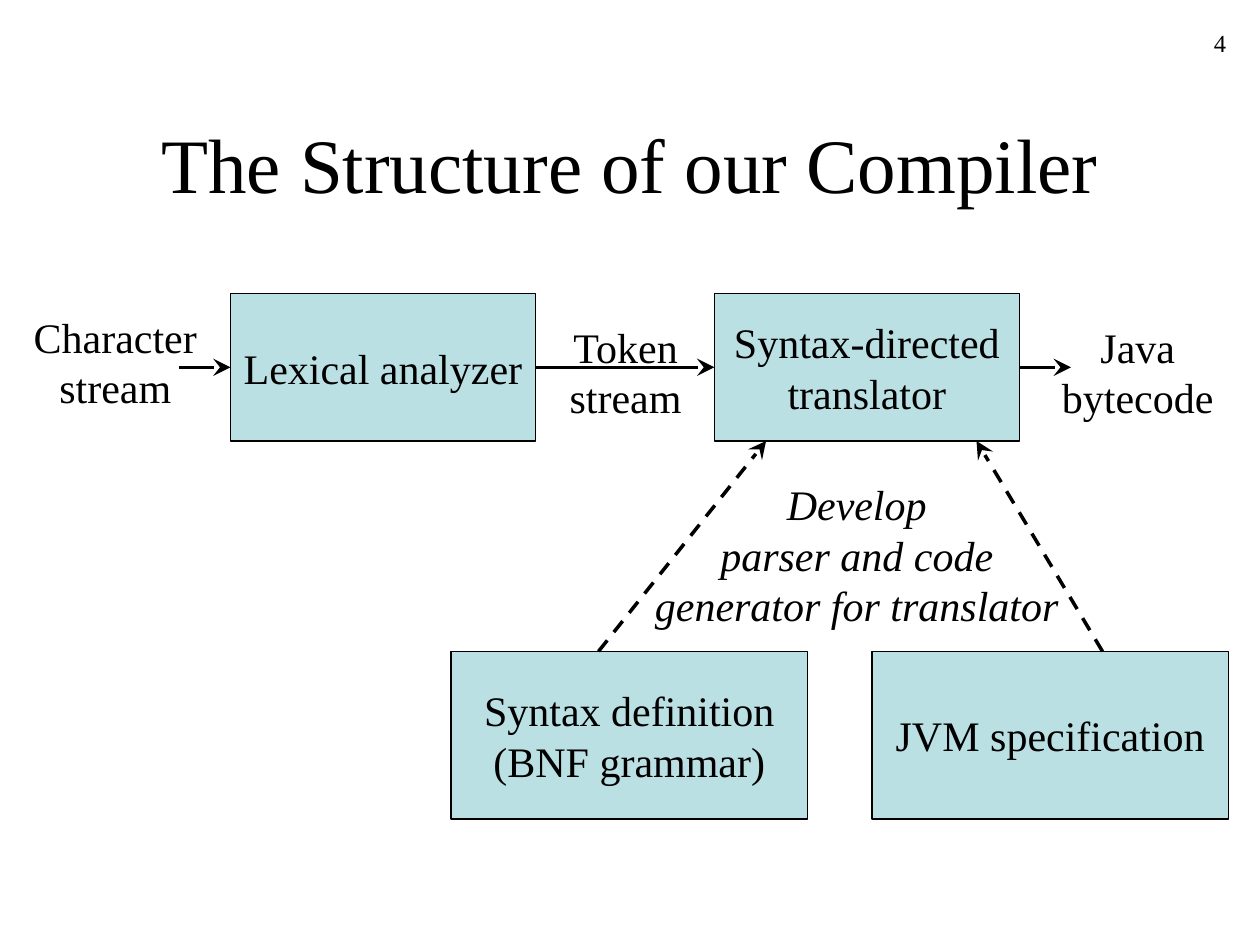
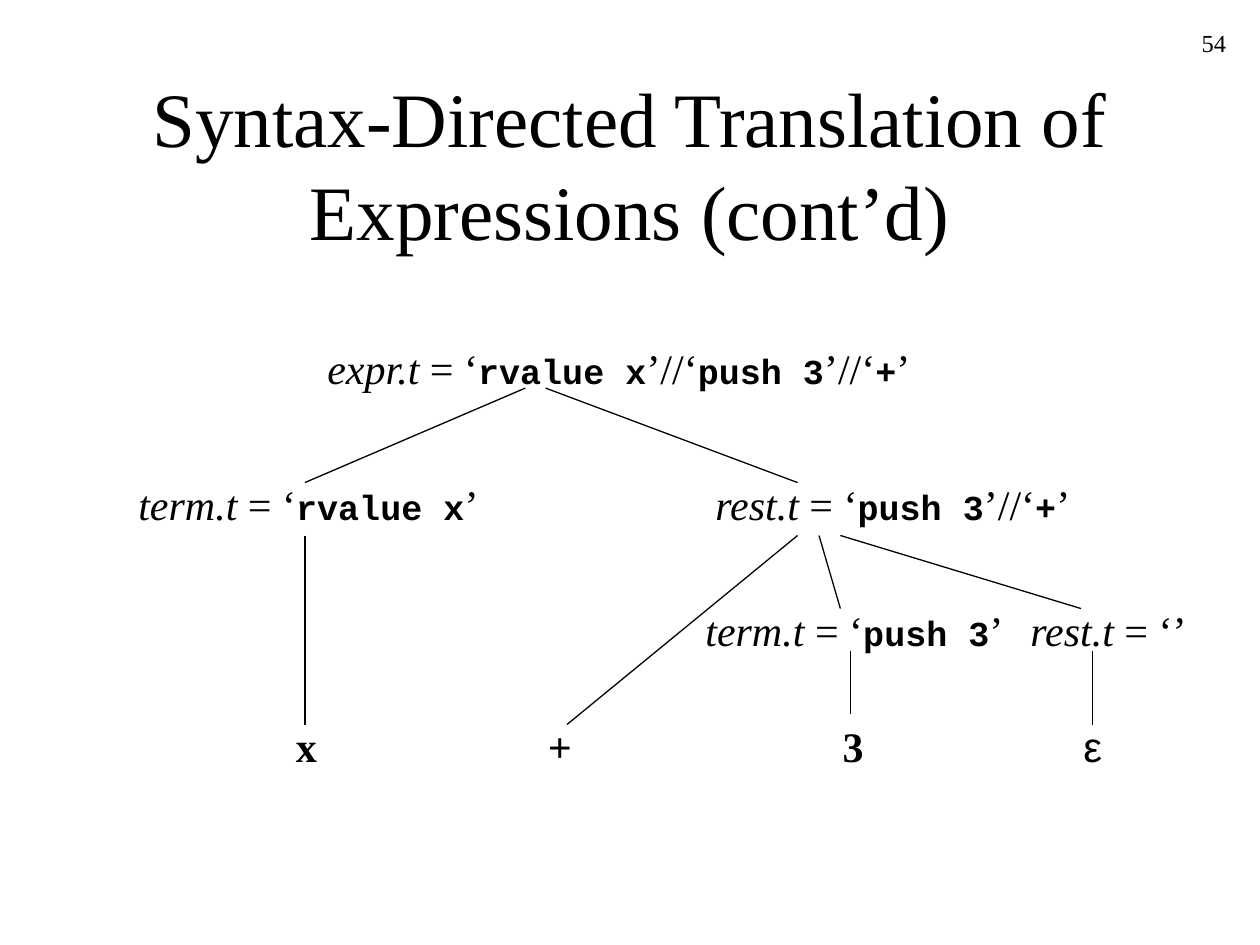
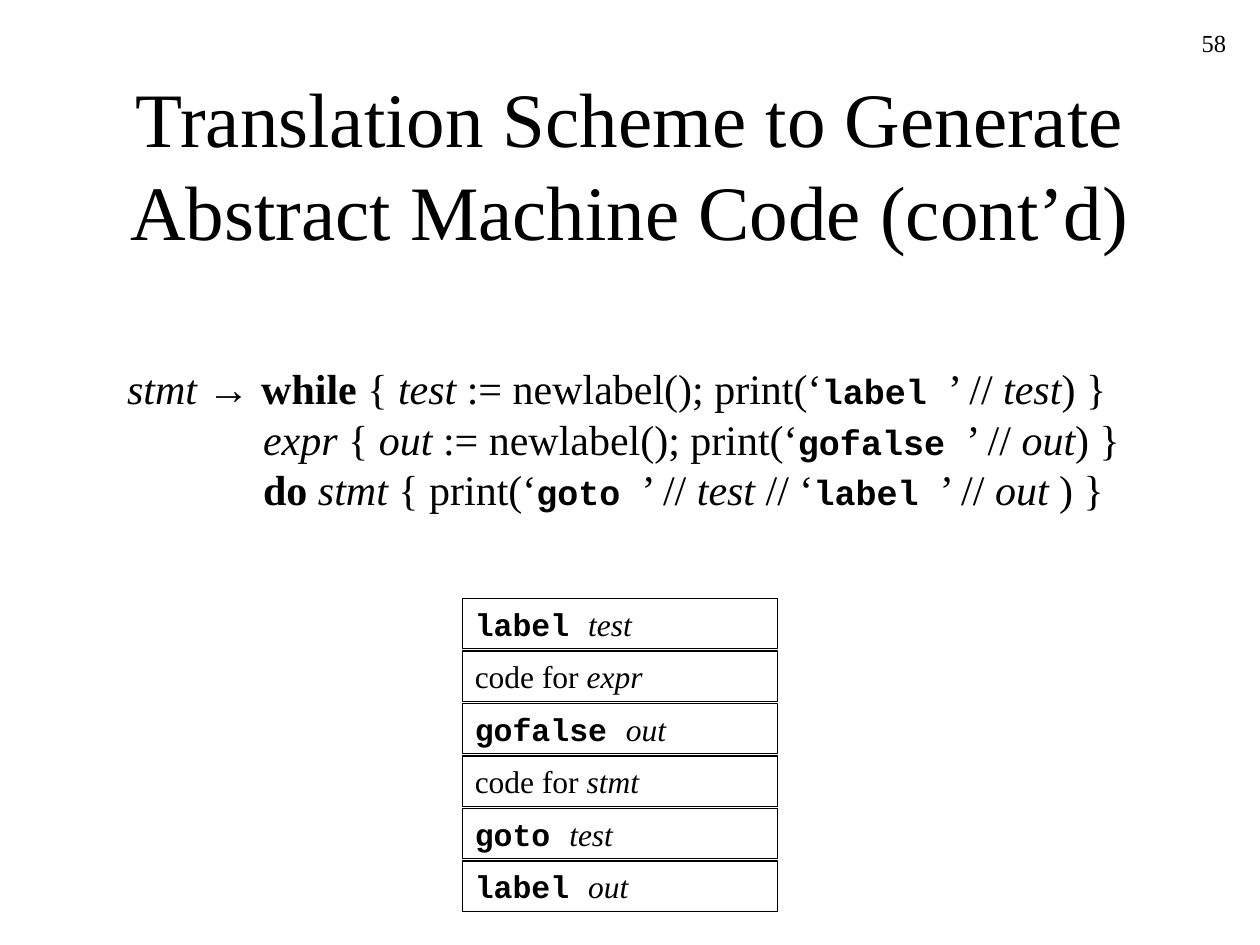
from lxml import etree
from pptx import Presentation
from pptx.dml.color import RGBColor
from pptx.enum import dml, shapes, text
from pptx.oxml import ns
from pptx.util import Inches, Pt

BLACK = RGBColor(0x00, 0x00, 0x00)
PALE_BLUE = RGBColor(0xBB, 0xE0, 0xE3)
SERIF, MONO, SANS = "Times New Roman", "Courier New", "Arial"
LEFT, CENTER, RIGHT = text.PP_ALIGN.LEFT, text.PP_ALIGN.CENTER, text.PP_ALIGN.RIGHT
GROW, FIXED = text.MSO_AUTO_SIZE.SHAPE_TO_FIT_TEXT, text.MSO_AUTO_SIZE.NONE
STYLES = {
    "plain": dict(name=SERIF, bold=False, italic=False),
    "bold": dict(name=SERIF, bold=True, italic=False),
    "italic": dict(name=SERIF, bold=False, italic=True),
    "code": dict(name=MONO, bold=True, italic=False),
    "symbol": dict(name=SANS, bold=False, italic=False),
}


def write(sp, runs, size=24, code_size=20, align=LEFT, wrap=False, auto=GROW,
          anchor=text.MSO_ANCHOR.TOP):
    """Fill a shape with (text, style) runs; a newline becomes a line break."""
    tf = sp.text_frame
    frame = dict(word_wrap=wrap, auto_size=auto, vertical_anchor=anchor)
    for key, value in frame.items():
        setattr(tf, key, value)
    p = tf.paragraphs[0]
    p.alignment = align
    for words, style in runs:
        for i, part in enumerate(words.split("\n")):
            if i:
                p.add_line_break()
            if part:
                r = p.add_run()
                r.text = part
                r.font.size = Pt(code_size if style == "code" else size)
                r.font.color.rgb = BLACK
                for key, value in STYLES[style].items():
                    setattr(r.font, key, value)
    return p


def add_line(s, start, end, width=0.75, arrow=False, dashed=False):
    x1, y1, x2, y2 = (Inches(v) for v in start + end)
    line = s.shapes.add_connector(shapes.MSO_CONNECTOR.STRAIGHT, x1, y1, x2, y2)
    line.line.color.rgb = BLACK
    line.line.width = Pt(width)
    if dashed:
        line.line.dash_style = dml.MSO_LINE.DASH
    if arrow:
        etree.SubElement(line.line._get_or_add_ln(), ns.qn("a:tailEnd"),
                         type="stealth", w="lg", len="lg")
    etree.SubElement(line._element.spPr, ns.qn("a:effectLst"))
    return line


prs = Presentation()
prs.slide_width, prs.slide_height = Inches(10), Inches(7.5)

# Titles and page numbers
slides = []
for title, number in [
    ("The Structure of our Compiler", "4"),
    ("Syntax-Directed Translation of Expressions (cont’d)", "54"),
    ("Translation Scheme to Generate Abstract Machine Code (cont’d)", "58"),
]:
    s = prs.slides.add_slide(prs.slide_layouts[5])
    sp = s.shapes.title
    sp.left, sp.top, sp.width, sp.height = (Inches(v) for v in (0.75, 0.67, 8.5, 1.25))
    write(sp, [(title, "plain")], 44, align=CENTER, wrap=True, auto=FIXED,
          anchor=text.MSO_ANCHOR.MIDDLE)
    sp = s.shapes.add_textbox(Inches(7.75), Inches(0.17), Inches(2.08), Inches(0.5))
    write(sp, [(number, "plain")], 14, align=RIGHT, wrap=True, auto=FIXED)
    slides.append(s)
structure, tree, scheme = slides

# Compiler structure: boxes
top, height = 2.33, 1.17
boxes = {}
for label, x, y, w, h in [
    ("Lexical analyzer", 1.83, top, 2.42, height),
    ("Syntax-directed\ntranslator", 5.67, top, 2.42, height),
    ("Syntax definition\n(BNF grammar)", 3.58, 5.17, 2.83, 1.33),
    ("JVM specification", 6.92, 5.17, 2.83, 1.33),
]:
    sp = structure.shapes.add_shape(shapes.MSO_SHAPE.RECTANGLE, Inches(x), Inches(y),
                                    Inches(w), Inches(h))
    sp.shadow.inherit = False
    sp.fill.solid()
    sp.fill.fore_color.rgb = PALE_BLUE
    sp.line.color.rgb = BLACK
    sp.line.width = Pt(0.75)
    write(sp, [(label, "plain")], align=CENTER, auto=FIXED, anchor=text.MSO_ANCHOR.MIDDLE)
    boxes[label.split()[0]] = sp
lexer, translator = boxes["Lexical"], boxes["Syntax-directed"]

# Compiler structure: stream labels
for label, style, x, y, w, h in [
    ("Character\nstream", "plain", 0.14, 2.42, 1.55, 0.9),
    ("Token\nstream", "plain", 4.39, 2.5, 1.15, 0.9),
    ("Java\nbytecode", "plain", 8.3, 2.5, 1.46, 0.9),
    ("Develop\nparser and code\ngenerator for translator", "italic", 5.05, 3.75, 3.5, 1.3),
]:
    sp = structure.shapes.add_textbox(Inches(x), Inches(y), Inches(w), Inches(h))
    write(sp, [(label, style)], align=CENTER)

# Compiler structure: arrows
middle = top + height / 2
for x1, x2, source, target in [
    (1.42, 1.83, None, lexer),
    (4.25, 5.67, lexer, translator),
    (8.08, 8.5, translator, None),
]:
    line = add_line(structure, (x1, middle), (x2, middle), 2, arrow=True)
    if source:
        line.begin_connect(source, 3)
    if target:
        line.end_connect(target, 1)
for x1, x2 in [(4.75, 6.08), (8.75, 7.75)]:
    add_line(structure, (x1, 5.17), (x2, 3.5), 2, arrow=True, dashed=True)

# Annotated parse tree: nodes
rvalue, push, plus = ("rvalue x", "code"), ("push 3", "code"), ("+", "code")
opening, joint, closing = (" = ‘", "plain"), ("’//‘", "plain"), ("’", "plain")
expr, term, rest = ((name, "italic") for name in ("expr.t", "term.t", "rest.t"))
for x, y, w, runs in [
    (2.5, 2.67, 4.86, [expr, opening, rvalue, joint, push, joint, plus, closing]),
    (1, 3.75, 2.9, [term, opening, rvalue, closing]),
    (5.58, 3.75, 3.03, [rest, opening, push, joint, plus, closing]),
    (5.5, 4.75, 2.65, [term, opening, push, closing]),
    (8.08, 4.75, 1.53, [rest, (" = ‘’", "plain")]),
    (2.25, 5.67, 0.36, [("x", "bold")]),
    (4.25, 5.67, 0.39, [("+", "bold")]),
    (6.59, 5.67, 0.36, [("3", "bold")]),
    (8.5, 5.67, 0.34, [("ε", "symbol")]),
]:
    sp = tree.shapes.add_textbox(Inches(x), Inches(y), Inches(w), Inches(0.5))
    write(sp, runs)

# Annotated parse tree: branches
for start, end in [
    ((4.17, 3.08), (2.42, 3.83)),
    ((4.33, 3.08), (6.33, 3.83)),
    ((2.42, 4.25), (2.42, 5.75)),
    ((6.5, 4.25), (6.67, 4.83)),
    ((6.67, 4.25), (8.58, 4.83)),
    ((6.33, 4.25), (4.5, 5.75)),
    ((6.75, 5.17), (6.75, 5.67)),
    ((8.67, 5.17), (8.67, 5.75)),
]:
    add_line(tree, start, end)

# Translation scheme: production with a hanging indent
test, out = ("test", "italic"), ("out", "italic")
new_label, then = (" := newlabel(); print(‘", "plain"), ("’ // ", "plain")
label, brace = ("label ", "code"), ("{ ", "plain")
sp = scheme.shapes.add_textbox(Inches(0.91), Inches(2.83), Inches(8.11), Inches(1.3))
p = write(sp, [
    ("stmt ", "italic"), ("→ ", "symbol"), ("while ", "bold"),
    brace, test, new_label, label, then, test, (") }\n", "plain"),
    ("expr ", "italic"), brace, out, new_label, ("gofalse ", "code"), then, out,
    (") }\n", "plain"),
    ("do ", "bold"), ("stmt ", "italic"), ("{ print(‘", "plain"), ("goto ", "code"),
    then, test, (" // ‘", "plain"), label, then, out, (" ) }", "plain"),
])
hang = Inches(1.08)
pPr = p._p.get_or_add_pPr()
pPr.set("marL", str(hang))
pPr.set("indent", str(-hang))

# Translation scheme: layout of the generated code
code_for = ("code for ", "plain")
for i, runs in enumerate([
    [label, test],
    [code_for, ("expr", "italic")],
    [("gofalse ", "code"), out],
    [code_for, ("stmt", "italic")],
    [("goto ", "code"), test],
    [label, out],
]):
    sp = scheme.shapes.add_shape(shapes.MSO_SHAPE.RECTANGLE, Inches(3.67),
                                 Inches(4.75 + i * 2.5 / 6), Inches(2.5), Inches(0.4))
    sp.shadow.inherit = False
    sp.fill.background()
    sp.line.color.rgb = BLACK
    sp.line.width = Pt(0.75)
    write(sp, runs, 18, code_size=18, wrap=True)

prs.save("out.pptx")
